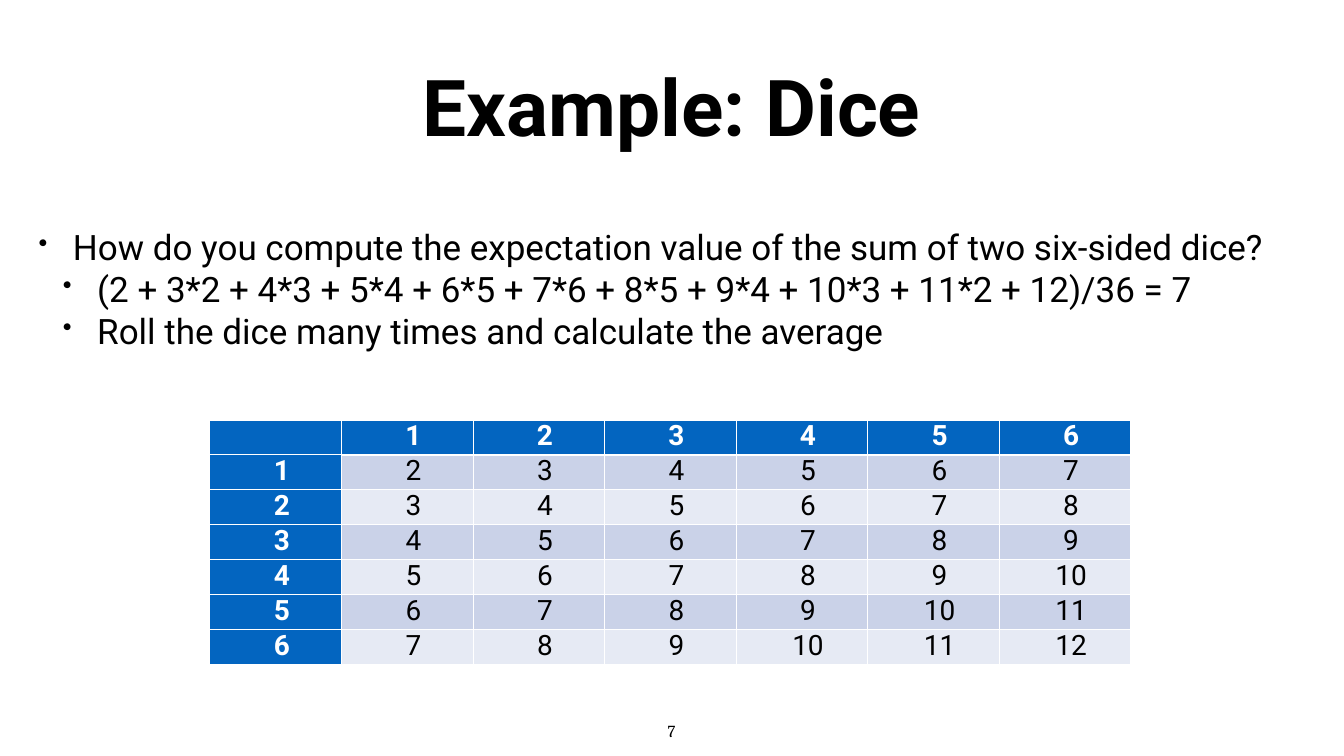
import lxml.etree
import pptx
import pptx.dml.color
import pptx.enum.text
import pptx.oxml.ns
import pptx.util

Cm = pptx.util.Cm
Pt = pptx.util.Pt
ALIGN = pptx.enum.text.PP_ALIGN
ANCHOR = pptx.enum.text.MSO_ANCHOR

BLACK, WHITE, BLUE = "000000", "FFFFFF", "0365C0"
BANDS = ("CAD2E8", "E6EAF4")


def color(value):
    return pptx.dml.color.RGBColor.from_string(value)


def add_child(parent, tag, **attributes):
    child = lxml.etree.SubElement(parent, pptx.oxml.ns.qn(tag))
    for name, value in attributes.items():
        child.set(name, str(value))
    return child


class SlideBuilder:
    font = "Roboto"
    inset = Cm(0.2)
    hanging = Cm(1.73)

    def __init__(self, slide):
        self.slide = slide

    def style(self, para, size, text_color=BLACK, bold=False, font=None):
        for span in para.runs:
            span.font.name = font or self.font
            span.font.size = Pt(size)
            span.font.bold = bold
            span.font.color.rgb = color(text_color)

    def box(self, left, top, width, height, anchor=ANCHOR.MIDDLE, wrap=True):
        shape = self.slide.shapes.add_textbox(Cm(left), Cm(top), Cm(width), Cm(height))
        frame = shape.text_frame
        frame.word_wrap = wrap
        frame.vertical_anchor = anchor
        frame.margin_left = frame.margin_right = self.inset
        frame.margin_top = frame.margin_bottom = self.inset
        return frame

    def label(self, text, place, size, anchor=ANCHOR.MIDDLE, wrap=True, **look):
        frame = self.box(*place, anchor=anchor, wrap=wrap)
        frame.text = text
        para = frame.paragraphs[0]
        para.alignment = ALIGN.CENTER
        self.style(para, size, **look)

    def bullets(self, items, place, size):
        frame = self.box(*place)
        frame.text = "\n".join(text for level, text in items)
        for para, (level, text) in zip(frame.paragraphs, items):
            para.level = level
            properties = para._p.get_or_add_pPr()
            properties.set("marL", str(self.hanging + level * Cm(1.22)))
            properties.set("indent", str(-self.hanging))
            add_child(properties, "a:buSzPct", val=75000)
            add_child(properties, "a:buChar", char="•")
            self.style(para, size)

    def borders(self, cell, top=1, bottom=1):
        properties = cell._tc.get_or_add_tcPr()
        for side, width in (("L", 1), ("R", 1), ("T", top), ("B", bottom)):
            line = add_child(properties, "a:ln" + side, w=Pt(width))
            add_child(add_child(line, "a:solidFill"), "a:srgbClr", val=WHITE)

    def table(self, rows, left, top, column_width, row_height, size):
        columns = len(rows[0])
        table = self.slide.shapes.add_table(
            len(rows), columns, Cm(left), Cm(top),
            Cm(column_width * columns), Cm(row_height * len(rows))).table
        table.first_col = True
        for column in table.columns:
            column.width = Cm(column_width)
        for r, values in enumerate(rows):
            table.rows[r].height = Cm(row_height)
            for c, value in enumerate(values):
                cell = table.cell(r, c)
                heading = r == 0 or c == 0
                cell.margin_left = cell.margin_right = 0
                cell.margin_top = cell.margin_bottom = 0
                # Heavier rule between the column headings and the sums
                self.borders(cell, top=3 if r == 1 and c else 1,
                             bottom=3 if r == 0 and c else 1)
                cell.fill.solid()
                cell.fill.fore_color.rgb = color(BLUE if heading else BANDS[(r - 1) % 2])
                cell.text = str(value)
                para = cell.text_frame.paragraphs[0]
                para.alignment = ALIGN.CENTER
                para._p.get_or_add_pPr().set("indent", str(Cm(0.64)))
                self.style(para, size, WHITE if heading else BLACK, bold=heading)


def main():
    deck = pptx.Presentation()
    deck.slide_width, deck.slide_height = Cm(67.74), Cm(38.1)
    page = SlideBuilder(deck.slides.add_slide(deck.slide_layouts[6]))

    # Title
    page.label("Example: Dice", (1.75, 1.75, 64.21, 7.06), 112, bold=True)

    # Question and answers
    page.bullets([
        (0, "How do you compute the expectation value of the sum of two six-sided dice?"),
        (1, "(2 + 3*2 + 4*3 + 5*4 + 6*5 + 7*6 + 8*5 + 9*4 + 10*3 + 11*2 + 12)/36 = 7"),
        (1, "Roll the dice many times and calculate the average"),
    ], (1.75, 8.81, 64.21, 11.48), 50)

    # Sums of the two dice
    faces = range(1, 7)
    sums = [["", *faces]] + [[a] + [a + b for b in faces] for a in faces]
    page.table(sums, 10.57, 21.16, 6.63, 1.76, 40)

    # Slide number
    page.label("7", (33.4, 36.14, 0.91, 1.42), 24, ANCHOR.TOP, False, font="Cambria")

    deck.save("out.pptx")


if __name__ == "__main__":
    main()
